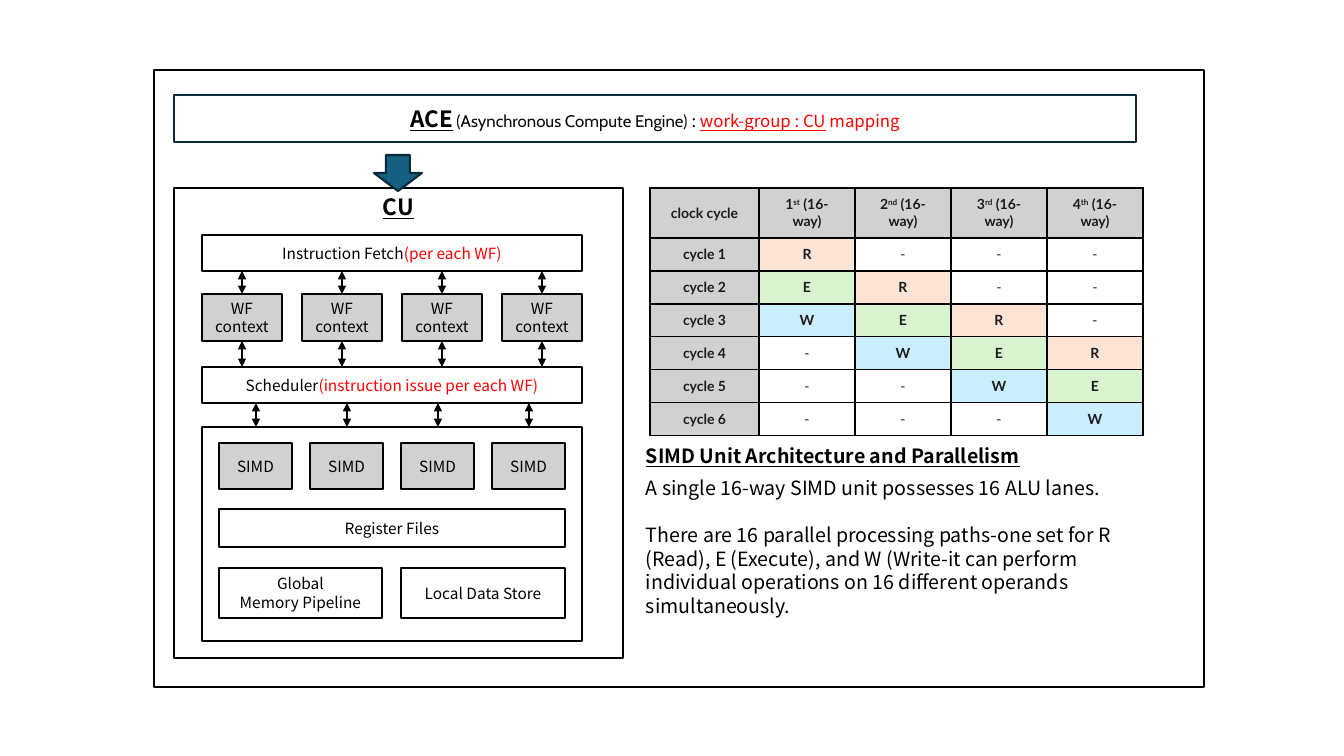
import dataclasses

import pptx
import pptx.dml.color
import pptx.enum.shapes
import pptx.enum.text
import pptx.oxml
import pptx.oxml.ns
import pptx.util

SHAPE = pptx.enum.shapes.MSO_SHAPE
ALIGN = pptx.enum.text.PP_ALIGN
ANCHOR = pptx.enum.text.MSO_ANCHOR


@dataclasses.dataclass(frozen=True)
class Theme:
    ink: str = "000000"
    soft_ink: str = "0A0A0A"
    table_ink: str = "1B1C1D"
    accent: str = "FF0000"
    paper: str = "FFFFFF"
    grey: str = "D1D1D1"
    navy: str = "092A39"
    teal: str = "156082"
    stages: tuple = (("R", "FBE3D6"), ("E", "D9F2D0"), ("W", "CAEEFB"))
    body_font: str = "Noto Sans CJK KR"
    engine_font: str = "Cabin"
    table_font: str = "Lato"
    title_size: int = 16
    body_size: int = 14
    engine_size: int = 12
    label_size: int = 11
    table_size: int = 10
    line_width: float = 1.5
    grid_width: int = 1


def px(length):
    return pptx.util.Emu(round(length * 914400 / 100.8))


def rgb(value):
    return pptx.dml.color.RGBColor.from_string(value)


class SlideBuilder:
    """Draws themed elements, measured in px, on one slide."""

    def __init__(self, slide, theme):
        self.shapes = slide.shapes
        self.theme = theme

    def add_run(self, paragraph, text, size=None, font=None, color=None,
                bold=False, underline=False, superscript=False):
        run = paragraph.add_run()
        run.text = text
        run.font.size = pptx.util.Pt(size or self.theme.label_size)
        run.font.name = font or self.theme.body_font
        run.font.color.rgb = rgb(color or self.theme.ink)
        run.font.bold = bold
        run.font.underline = underline
        if superscript:
            run.font._element.set("baseline", "30000")

    def fill_frame(self, frame, paragraphs, align=ALIGN.CENTER, gaps=()):
        frame.word_wrap = True
        for index, runs in enumerate(paragraphs):
            paragraph = frame.add_paragraph() if index else frame.paragraphs[0]
            paragraph.alignment = align
            if index < len(gaps):
                paragraph.space_after = pptx.util.Pt(gaps[index])
            for text, style in runs:
                self.add_run(paragraph, text, **style)

    def box(self, left, top, width, height, paragraphs=(), fill=None, line=None,
            anchor=ANCHOR.MIDDLE, kind=SHAPE.RECTANGLE):
        shape = self.shapes.add_shape(kind, px(left), px(top), px(width), px(height))
        shape.shadow.inherit = False
        if fill:
            shape.fill.solid()
            shape.fill.fore_color.rgb = rgb(fill)
        else:
            shape.fill.background()
        shape.line.color.rgb = rgb(line or self.theme.ink)
        shape.line.width = pptx.util.Pt(self.theme.line_width)
        shape.text_frame.vertical_anchor = anchor
        self.fill_frame(shape.text_frame, paragraphs)
        return shape

    def text(self, left, top, width, height, paragraphs, gaps):
        area = self.shapes.add_textbox(px(left), px(top), px(width), px(height))
        self.fill_frame(area.text_frame, paragraphs, ALIGN.LEFT, gaps)

    def double_arrow(self, x, start, end, source=None, side=0):
        arrow = self.shapes.add_connector(
            pptx.enum.shapes.MSO_CONNECTOR.STRAIGHT, px(x), px(start), px(x), px(end))
        if source is not None:
            arrow.begin_connect(source, side)
        arrow.line.color.rgb = rgb(self.theme.ink)
        arrow.line.width = pptx.util.Pt(self.theme.line_width)
        outline = arrow.line._get_or_add_ln()
        for tag in ("a:headEnd", "a:tailEnd"):
            end_mark = pptx.oxml.ns.qn(tag)
            outline.append(outline.makeelement(end_mark, {"type": "triangle"}))
        properties = arrow._element.spPr
        properties.append(properties.makeelement(pptx.oxml.ns.qn("a:effectLst"), {}))

    def cell(self, cell, runs, fill=None):
        cell.margin_left = cell.margin_right = px(12)
        cell.margin_top = cell.margin_bottom = px(8)
        cell.vertical_anchor = ANCHOR.MIDDLE
        base = {"size": self.theme.table_size, "font": self.theme.table_font,
                "color": self.theme.table_ink}
        self.fill_frame(cell.text_frame, [[(text, base | style) for text, style in runs]])
        properties = cell._tc.get_or_add_tcPr()
        for side in ("lnL", "lnR", "lnT", "lnB"):
            properties.append(pptx.oxml.parse_xml(
                f'<a:{side} {pptx.oxml.ns.nsdecls("a")} w="{self.theme.grid_width * 12700}">'
                f'<a:solidFill><a:srgbClr val="{self.theme.ink}"/></a:solidFill></a:{side}>'))
        if fill:
            cell.fill.solid()
            cell.fill.fore_color.rgb = rgb(fill)
        else:
            cell.fill.background()

    def table(self, left, top, widths, heights, rows):
        frame = self.shapes.add_table(len(heights), len(widths), px(left), px(top),
                                      px(sum(widths)), px(sum(heights)))
        grid = frame.table
        grid.first_row = grid.horz_banding = False
        for column, width in zip(grid.columns, widths):
            column.width = px(width)
        for row, height, contents in zip(grid.rows, heights, rows):
            row.height = px(height)
            for cell, (runs, fill) in zip(row.cells, contents):
                self.cell(cell, runs, fill)


def pipeline_rows(theme):
    bold = {"bold": True}
    header = [([("clock cycle", bold)], theme.grey)]
    for way, suffix in enumerate(("st", "nd", "rd", "th"), 1):
        header.append(([(str(way), bold), (suffix, bold | {"superscript": True}),
                        (" (16-way)", bold)], theme.grey))
    rows = [header]
    for cycle in range(6):
        row = [([(f"cycle {cycle + 1}", bold)], theme.grey)]
        for way in range(4):
            if 0 <= cycle - way < len(theme.stages):
                stage, fill = theme.stages[cycle - way]
                row.append(([(stage, bold)], fill))
            else:
                row.append(([("-", {})], None))
        rows.append(row)
    return rows


def draw_compute_unit(builder, theme):
    red = {"color": theme.accent}
    heading = {"size": theme.title_size, "bold": True, "underline": True}
    builder.box(174, 188, 449, 470, [[("CU", heading)]], anchor=ANCHOR.TOP)
    builder.box(202, 235, 380, 36, [[("Instruction Fetch", {}), ("(per each WF)", red)]])
    builder.box(202, 367, 380, 36, [[("Scheduler", {}),
                                    ("(instruction issue per each WF)", red)]])
    builder.box(202, 427, 380, 214)
    for lane in range(4):
        context_left, simd_left = 202 + 100 * lane, 219 + 91 * lane
        context = builder.box(context_left, 294, 80, 47, [[("WF context", {})]], theme.grey)
        builder.double_arrow(context_left + 40, 294, 271, context, 0)
        builder.double_arrow(context_left + 40, 341, 367, context, 2)
        builder.box(simd_left, 443, 73, 46, [[("SIMD", {})]], theme.grey)
        builder.double_arrow(simd_left + 37, 427, 403)
    builder.box(219, 509, 346, 38, [[("Register Files", {})]])
    builder.box(219, 568, 163, 50, [[("Global", {})], [("Memory Pipeline", {})]])
    builder.box(401, 568, 164, 50, [[("Local Data Store", {})]])


def main():
    theme = Theme()
    deck = pptx.Presentation()
    deck.slide_width, deck.slide_height = px(1344), px(756)
    builder = SlideBuilder(deck.slides.add_slide(deck.slide_layouts[6]), theme)

    builder.box(154, 70, 1050, 617, fill=theme.paper)
    draw_compute_unit(builder, theme)
    builder.table(650, 188, [109] + [96] * 4, [50] + [33] * 6, pipeline_rows(theme))

    body = {"size": theme.body_size}
    builder.text(636, 439, 546, 161, [
        [("SIMD Unit Architecture and Parallelism", body | {"bold": True, "underline": True})],
        [("A single 16-way SIMD unit possesses 16 ALU lanes.", body)],
        [("There are 16 parallel processing paths-one set for R (Read), E (Execute), "
          "and W (Write-it can perform individual operations on 16 different operands "
          "simultaneously.", body)],
    ], gaps=(6, 17))

    builder.box(374, 155, 48, 36, fill=theme.teal, line=theme.navy, kind=SHAPE.DOWN_ARROW)
    engine = {"size": theme.engine_size}
    cabin = {"font": theme.engine_font, "color": theme.soft_ink}
    mapping = engine | {"color": theme.accent}
    builder.box(174, 95, 962, 47, [[
        ("ACE", {"size": theme.title_size, "bold": True, "underline": True}),
        (" ", cabin),
        ("(Asynchronous Compute Engine)", engine | cabin),
        (" : ", engine),
        ("work-group : CU", mapping | {"underline": True}),
        (" mapping", mapping),
    ]], theme.paper, theme.navy)
    deck.save("out.pptx")


if __name__ == "__main__":
    main()
